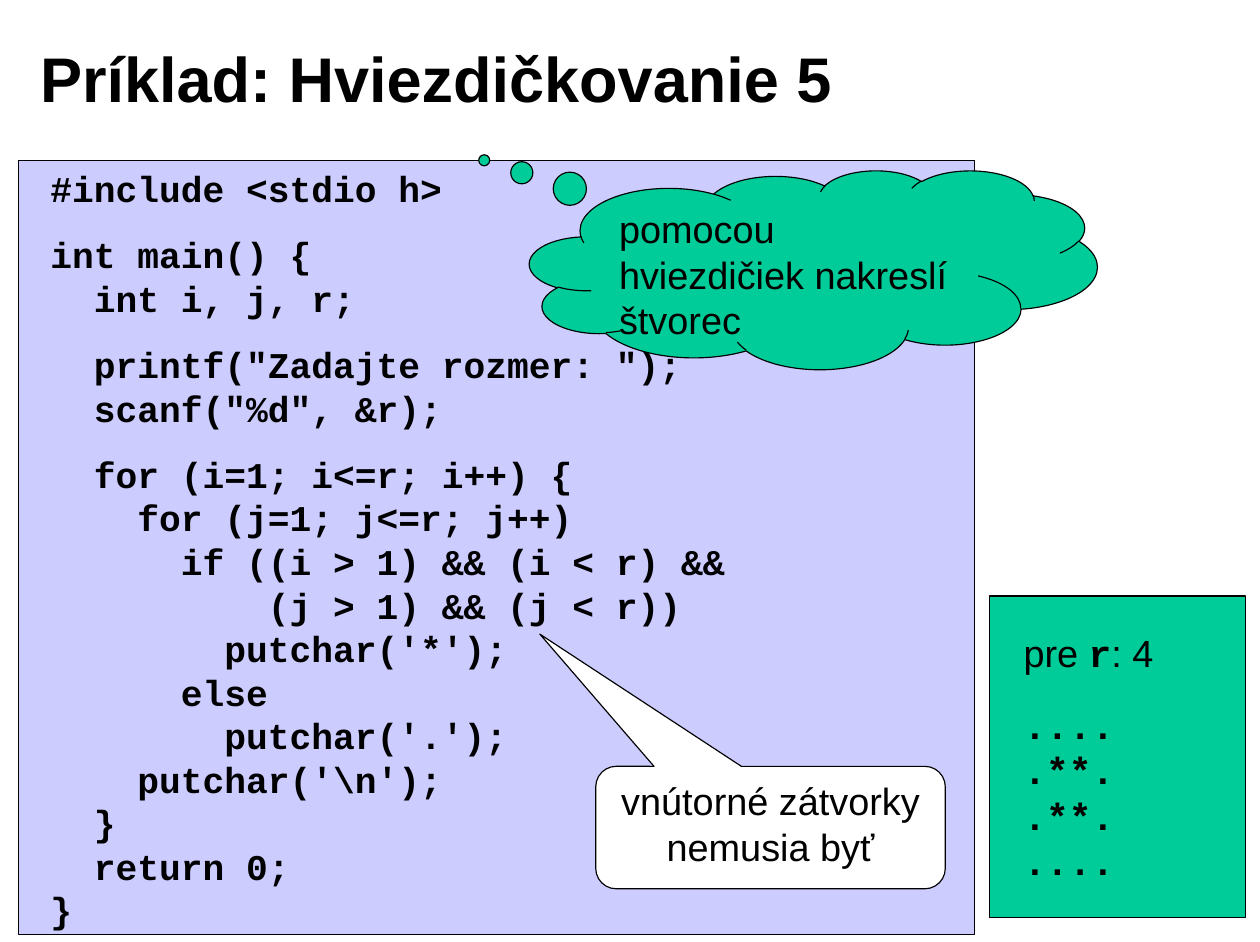
from pptx import Presentation
from pptx.dml.color import RGBColor
from pptx.enum.shapes import MSO_SHAPE as Shape
from pptx.enum.text import MSO_ANCHOR as Anchor, PP_ALIGN as Align
from pptx.util import Cm, Pt

BLACK = RGBColor(0x00, 0x00, 0x00)
WHITE = RGBColor(0xFF, 0xFF, 0xFF)
LAVENDER = RGBColor(0xCC, 0xCC, 0xFF)
GREEN = RGBColor(0x00, 0xCC, 0x99)
SANS, MONO = "Arial", "Courier New"

CODE = r"""#include <stdio h>

int main() {
  int i, j, r;

  printf("Zadajte rozmer: ");
  scanf("%d", &r);

  for (i=1; i<=r; i++) {
    for (j=1; j<=r; j++)
      if ((i > 1) && (i < r) &&
          (j > 1) && (j < r))
        putchar('*');
      else
        putchar('.');
    putchar('\n');
  }
  return 0;
}"""
STARS = "....\n.**.\n.**.\n...."


def format_font(font, name, size, bold=False):
    font.name, font.size, font.bold = name, Pt(size), bold
    font.color.rgb = BLACK


def add_panel(slide, kind, box, fill):
    shape = slide.shapes.add_shape(kind, *map(Cm, box))
    shape.shadow.inherit = False
    shape.fill.solid()
    shape.fill.fore_color.rgb = fill
    shape.line.color.rgb = BLACK
    shape.line.width = Pt(0.75)
    return shape


def add_text_box(slide, box):
    text_frame = slide.shapes.add_textbox(*map(Cm, box)).text_frame
    text_frame.word_wrap = True
    return text_frame


def write_blocks(text_frame, text, size, gap):
    """Write monospaced lines; a blank line in the text becomes a gap."""
    blocks = [block.split("\n") for block in text.split("\n\n")]
    text_frame.text = "\n".join(line for block in blocks for line in block)
    paragraphs = iter(text_frame.paragraphs)
    for number, block in enumerate(blocks):
        for row in range(len(block)):
            paragraph = next(paragraphs)
            paragraph.line_spacing = Pt(size * 1.2)
            paragraph.space_before = Pt(gap if number and not row else 0)
            for run in paragraph.runs:
                format_font(run.font, MONO, size, True)


def add_title(slide, box, text):
    text_frame = add_text_box(slide, box)
    text_frame.margin_left = text_frame.margin_right = Cm(0.28)
    text_frame.vertical_anchor = Anchor.MIDDLE
    text_frame.text = text
    format_font(text_frame.paragraphs[0].runs[0].font, SANS, 40, True)


def add_code(slide, box):
    left, top, width, height = box
    add_panel(slide, Shape.RECTANGLE, box, LAVENDER)
    text_frame = add_text_box(slide, (left + 0.46, top, width - 0.92, height))
    write_blocks(text_frame, CODE, 23, 14.4)


def add_output(slide, box):
    left, top, width, height = box
    add_panel(slide, Shape.RECTANGLE, box, GREEN)
    text_frame = add_text_box(slide, (left + 0.51, top + 0.63, width - 1.02, height - 1.26))
    write_blocks(text_frame, "pre \n\n" + STARS, 24, 16.8)
    heading = text_frame.paragraphs[0]
    format_font(heading.runs[0].font, SANS, 24)
    for text, name, bold in (("r", MONO, True), (": 4", SANS, False)):
        run = heading.add_run()
        run.text = text
        format_font(run.font, name, 24, bold)


def add_callout(slide, kind, box, fill, tip, text, align):
    """Add a callout whose tip is given as a share of its size from its centre."""
    shape = add_panel(slide, kind, box, fill)
    shape.adjustments[0], shape.adjustments[1] = tip
    text_frame = shape.text_frame
    text_frame.word_wrap = True
    text_frame.vertical_anchor = Anchor.TOP
    text_frame.text = text
    paragraph = text_frame.paragraphs[0]
    paragraph.alignment = align
    paragraph.line_spacing = Pt(28.8)
    format_font(paragraph.runs[0].font, SANS, 24)


def main():
    presentation = Presentation()
    presentation.slide_width, presentation.slide_height = Cm(28.19), Cm(21.08)
    slide = presentation.slides.add_slide(presentation.slide_layouts[6])
    add_title(slide, (0.62, 0.43, 22.66, 2.59), "Príklad: Hviezdičkovanie 5")
    add_code(slide, (0.42, 3.6, 21.39, 17.32))
    add_callout(slide, Shape.CLOUD_CALLOUT, (11.85, 3.81, 12.7, 4.45), GREEN,
                (-0.58, -0.55), "pomocou hviezdičiek nakreslí štvorec", Align.LEFT)
    add_output(slide, (22.14, 13.34, 5.72, 7.19))
    add_callout(slide, Shape.ROUNDED_RECTANGULAR_CALLOUT, (13.33, 17.15, 7.82, 2.74),
                WHITE, (-0.66, -1.58), "vnútorné zátvorky nemusia byť", Align.CENTER)
    presentation.save("out.pptx")


if __name__ == "__main__":
    main()
